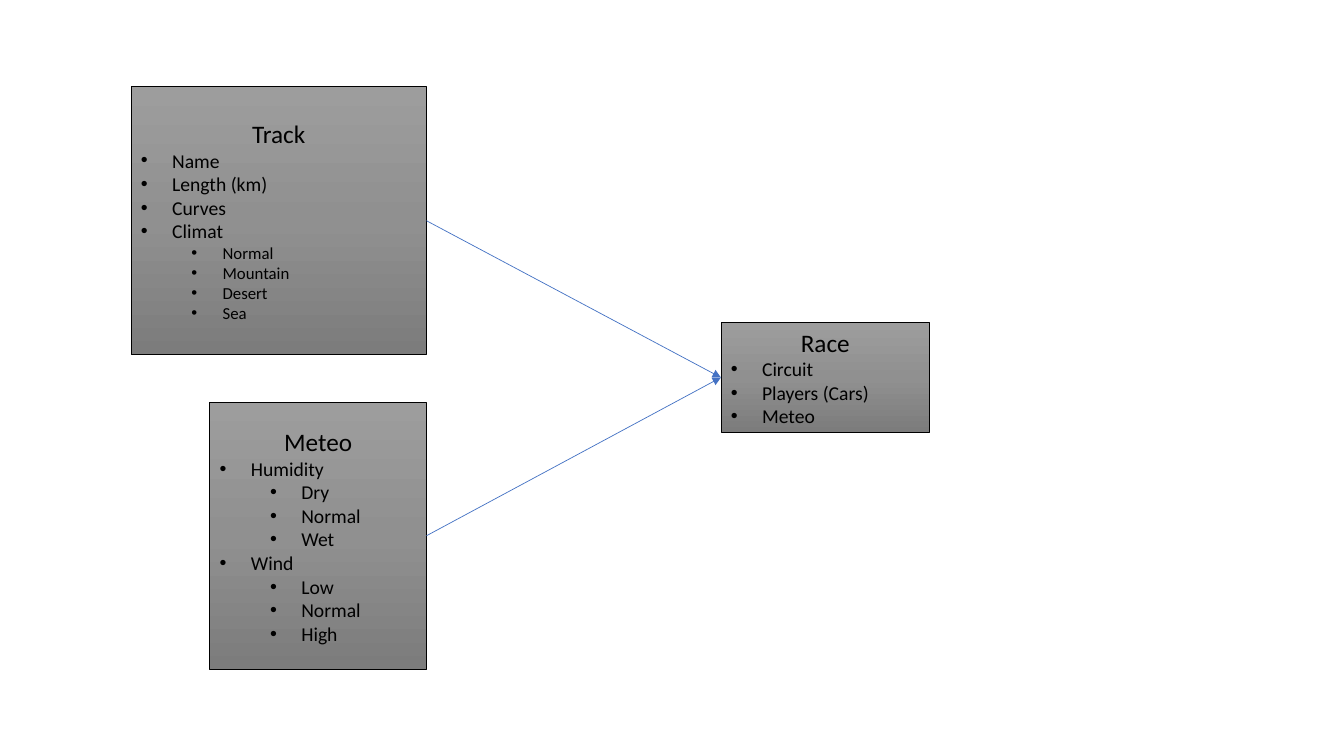
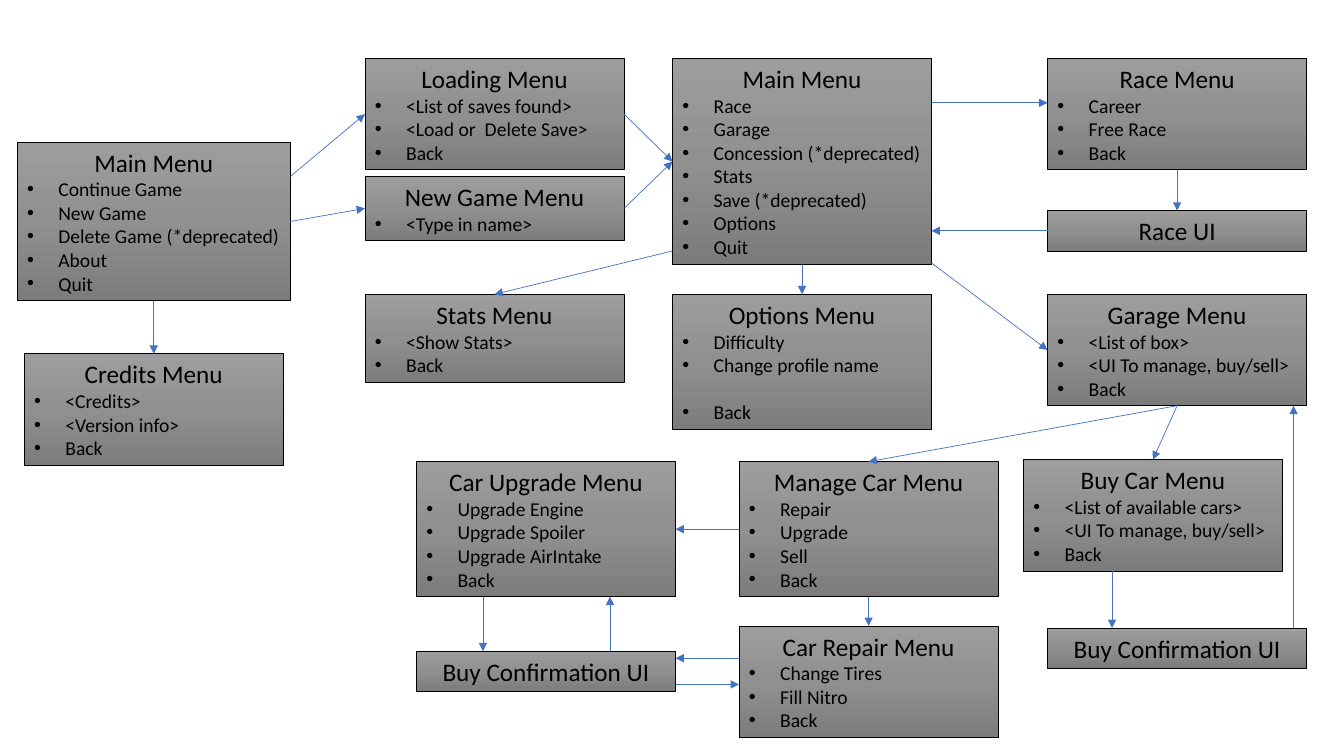
import copy

import pptx
import pptx.dml.color
import pptx.enum.shapes
import pptx.enum.text
import pptx.oxml.ns
import pptx.util
from lxml import etree

Inches, Pt = pptx.util.Inches, pptx.util.Pt
qn = pptx.oxml.ns.qn

COLORS = {
    "top": "9D9D9D",
    "middle": "909090",
    "bottom": "7C7C7C",
    "ink": "000000",
    "arrow": "4472C4",
}
FONT = "Calibri"
TITLE_SIZE, ITEM_SIZE = 18, 14
TITLE_HEIGHT, ITEM_HEIGHT = 0.4, 0.235  # a box grows by one item height per line
GAP = None  # an empty line between two items
MENU_WIDTH = 2.57
SITES = {"top": 0, "left": 1, "bottom": 2, "right": 3}

# key: (left, top, width, height, title, items); a tuple nests below the item before it
CLASSES = {
    "track": (1.3, 0.86, 2.93, 2.66, "Track",
              ["Name", "Length (km)", "Curves", "Climat",
               ("Normal", "Mountain", "Desert", "Sea")]),
    "race": (7.15, 3.2, 2.07, 1.09, "Race", ["Circuit", "Players (Cars)", "Meteo"]),
    "meteo": (2.08, 3.99, 2.15, 2.65, "Meteo",
              ["Humidity", ("Dry", "Normal", "Wet"), "Wind", ("Low", "Normal", "High")]),
}
NESTED_SIZES = {"track": 12}
CLASS_LINKS = [
    (("track", "right"), ("race", "left")),
    (("meteo", "right"), ("race", "left")),
]

# key: (left, top, title, items)
MENUS = {
    "start": (0.17, 1.41, "Main Menu",
              ["Continue Game", "New Game", "Delete Game (*deprecated)", "About", "Quit"]),
    "loading": (3.62, 0.58, "Loading Menu",
                ["<List of saves found>", "<Load or  Delete Save>", "Back"]),
    "new game": (3.62, 1.75, "New Game Menu", ["<Type in name>"]),
    "credits": (0.24, 3.51, "Credits Menu", ["<Credits>", "<Version info>", "Back"]),
    "main": (6.67, 0.58, "Main Menu",
             ["Race", "Garage", "Concession (*deprecated)", "Stats",
              "Save (*deprecated)", "Options", "Quit"]),
    "race": (10.39, 0.58, "Race Menu", ["Career", "Free Race", "Back"]),
    "race ui": (10.39, 2.09, "Race UI", []),
    "stats": (3.62, 2.92, "Stats Menu", ["<Show Stats>", "Back"]),
    "options": (6.67, 2.92, "Options Menu",
                ["Difficulty", "Change profile name", GAP, "Back"]),
    "garage": (10.39, 2.92, "Garage Menu",
               ["<List of box>", "<UI To manage, buy/sell>", "Back"]),
    "buy car": (10.15, 4.56, "Buy Car Menu",
                ["<List of available cars>", "<UI To manage, buy/sell>", "Back"]),
    "manage": (7.33, 4.58, "Manage Car Menu", ["Repair", "Upgrade", "Sell", "Back"]),
    "repair": (7.33, 6.21, "Car Repair Menu", ["Change Tires", "Fill Nitro", "Back"]),
    "upgrade": (4.13, 4.58, "Car Upgrade Menu",
                ["Upgrade Engine", "Upgrade Spoiler", "Upgrade AirIntake", "Back"]),
    "part confirmation": (4.13, 6.46, "Buy Confirmation UI", []),
    "car confirmation": (10.39, 6.23, "Buy Confirmation UI", []),
}
MENU_WIDTHS = {"start": 2.71}

# Each end is (box, side), glued to the middle, or (box, side, inches along the side)
MENU_LINKS = [
    (("start", "right", 0.34), ("loading", "left")),
    (("start", "right"), ("new game", "left")),
    (("start", "bottom"), ("credits", "top")),
    (("loading", "right"), ("main", "left")),
    (("new game", "right"), ("main", "left")),
    (("main", "right", 0.44), ("race", "left", 0.44)),
    (("race", "bottom"), ("race ui", "top")),
    (("race ui", "left"), ("main", "right", 1.71)),
    (("main", "bottom"), ("options", "top")),
    (("main", "right", 2.03), ("garage", "left")),
    (("main", "left", 1.91), ("stats", "top")),
    (("garage", "bottom"), ("buy car", "top")),
    (("garage", "bottom"), ("manage", "top")),
    (("manage", "left"), ("upgrade", "right")),
    (("manage", "bottom"), ("repair", "top")),
    (("upgrade", "bottom", 0.66), ("part confirmation", "top", 0.66)),
    (("part confirmation", "top", 1.92), ("upgrade", "bottom", 1.92)),
    (("repair", "left", 0.32), ("part confirmation", "right", 0.07)),
    (("part confirmation", "right", 0.33), ("repair", "left", 0.58)),
    (("buy car", "bottom", 0.88), ("car confirmation", "top", 0.64)),
    (("car confirmation", "top", 2.44), ("garage", "bottom", 2.44)),
]


def rgb(name):
    """Return the named colour."""
    return pptx.dml.color.RGBColor.from_string(COLORS[name])


def shade(box):
    """Give a box its grey gradient, thin outline and no shadow."""
    box.shadow.inherit = False
    box.fill.gradient()
    box.fill.gradient_angle = 270
    stop_list = box._element.spPr.find(".//" + qn("a:gsLst"))
    stop_list.insert(1, copy.deepcopy(stop_list[0]))
    for stop, name, position in zip(box.fill.gradient_stops,
                                    ("top", "middle", "bottom"), (0, 0.5, 1)):
        stop.color.rgb = rgb(name)
        stop.position = position
    box.line.color.rgb = rgb("ink")
    box.line.width = Pt(0.5)


def write(paragraph, text, size):
    """Add one run in the shared font."""
    run = paragraph.add_run()
    run.text = text
    run.font.name = FONT
    run.font.size = Pt(size)
    run.font.color.rgb = rgb("ink")


def add_item(frame, text, size, level=0, gap=False):
    """Add a bulleted line, optionally one line below the previous."""
    paragraph = frame.add_paragraph()
    paragraph.alignment = pptx.enum.text.PP_ALIGN.LEFT
    paragraph.level = level
    if gap:
        paragraph.space_before = Inches(ITEM_HEIGHT)
    properties = paragraph._p.get_or_add_pPr()
    properties.set("marL", str(Inches(0.31 + 0.5 * level)))
    properties.set("indent", str(-Inches(0.31)))
    etree.SubElement(properties, qn("a:buFont"), typeface="Arial")
    etree.SubElement(properties, qn("a:buChar"), char="•")
    write(paragraph, text, size)


def add_box(slide, left, top, width, height, title, items, nested_size=ITEM_SIZE):
    """Draw a box with a centred title above its bulleted items."""
    box = slide.shapes.add_shape(pptx.enum.shapes.MSO_SHAPE.RECTANGLE,
                                 Inches(left), Inches(top), Inches(width), Inches(height))
    shade(box)
    frame = box.text_frame
    frame.word_wrap = True
    frame.vertical_anchor = pptx.enum.text.MSO_ANCHOR.MIDDLE
    heading = frame.paragraphs[0]
    heading.alignment = pptx.enum.text.PP_ALIGN.CENTER
    write(heading, title, TITLE_SIZE)
    previous = title
    for item in items:
        if isinstance(item, tuple):
            for nested in item:
                add_item(frame, nested, nested_size, level=1)
        elif item is not GAP:
            add_item(frame, item, ITEM_SIZE, gap=previous is GAP)
        previous = item
    return box


def add_menu(slide, left, top, width, title, items):
    """Draw a box whose height follows from its number of lines."""
    height = TITLE_HEIGHT + ITEM_HEIGHT * len(items)
    menu = add_box(slide, left, top, width, height, title, items)
    menu.text_frame.vertical_anchor = pptx.enum.text.MSO_ANCHOR.TOP
    menu.text_frame.auto_size = pptx.enum.text.MSO_AUTO_SIZE.SHAPE_TO_FIT_TEXT
    return menu


def end_point(box, side, along=0):
    """Return the point on a side of a box, measured from its top or left end."""
    if side in ("top", "bottom"):
        return box.left + Inches(along), box.top + (box.height if side == "bottom" else 0)
    return box.left + (box.width if side == "right" else 0), box.top + Inches(along)


def add_links(slide, boxes, links):
    """Draw an arrow for each link between two boxes."""
    for start, end in links:
        points = [end_point(boxes[key], *place) for key, *place in (start, end)]
        arrow = slide.shapes.add_connector(pptx.enum.shapes.MSO_CONNECTOR.STRAIGHT,
                                           *points[0], *points[1])
        for (key, side, *along), connect in ((start, arrow.begin_connect),
                                             (end, arrow.end_connect)):
            if not along:
                connect(boxes[key], SITES[side])
        arrow.line.color.rgb = rgb("arrow")
        arrow.line.width = Pt(0.5)
        etree.SubElement(arrow.line._get_or_add_ln(), qn("a:tailEnd"), type="triangle")
        etree.SubElement(arrow._element.spPr, qn("a:effectLst"))


def build_class_slide(slide):
    """Show how track and weather feed a race."""
    boxes = {key: add_box(slide, *parts, NESTED_SIZES.get(key, ITEM_SIZE))
             for key, parts in CLASSES.items()}
    add_links(slide, boxes, CLASS_LINKS)


def build_menu_slide(slide):
    """Show the game's menus and the ways between them."""
    boxes = {key: add_menu(slide, left, top, MENU_WIDTHS.get(key, MENU_WIDTH), title, items)
             for key, (left, top, title, items) in MENUS.items()}
    add_links(slide, boxes, MENU_LINKS)


deck = pptx.Presentation()
deck.slide_width, deck.slide_height = Inches(13.33), Inches(7.5)
blank = deck.slide_layouts[6]
for build in (build_class_slide, build_menu_slide):
    build(deck.slides.add_slide(blank))
deck.save("out.pptx")
